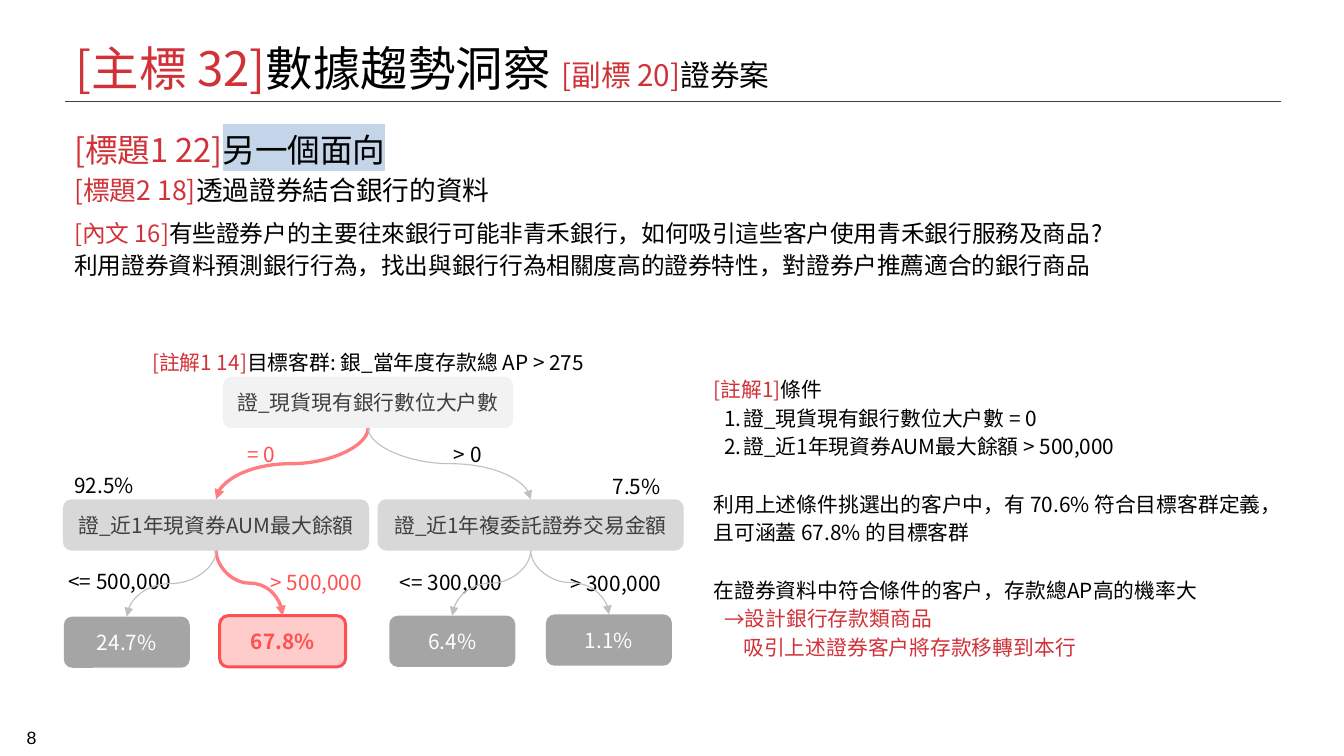
from dataclasses import dataclass

from lxml import etree
from pptx import Presentation
from pptx.dml.color import RGBColor
from pptx.enum.shapes import MSO_CONNECTOR, MSO_SHAPE
from pptx.enum.text import MSO_ANCHOR, MSO_AUTO_SIZE, PP_ALIGN
from pptx.oxml.ns import qn
from pptx.util import Cm, Pt

STRAIGHT, CURVE = MSO_CONNECTOR.STRAIGHT, MSO_CONNECTOR.CURVE
ROUNDED = MSO_SHAPE.ROUNDED_RECTANGLE
TOP, MIDDLE, BOTTOM = MSO_ANCHOR.TOP, MSO_ANCHOR.MIDDLE, MSO_ANCHOR.BOTTOM
LEFT, CENTER, RIGHT = PP_ALIGN.LEFT, PP_ALIGN.CENTER, PP_ALIGN.RIGHT
FIT_SHAPE = MSO_AUTO_SIZE.SHAPE_TO_FIT_TEXT


@dataclass(frozen=True)
class Theme:
    font: str = "Noto Sans CJK TC"
    number_font: str = "Arial"
    ink: str = "000000"
    accent: str = "D03238"
    rule: str = "404040"
    marker: str = "C4D5E9"
    root_fill: str = "F2F2F2"
    branch_fill: str = "D8D8D8"
    leaf_fill: str = "A5A5A5"
    target_fill: str = "FFCCCC"
    target: str = "FF5050"
    node_ink: str = "3F3F3F"
    white: str = "FFFFFF"
    path_line: str = "FF7C80"
    plain_line: str = "BFBFBF"
    title: int = 32
    subtitle: int = 20
    heading: int = 22
    subheading: int = 18
    body: int = 16
    note: int = 14
    number: int = 12


class SlideBuilder:
    """Draws themed elements on the current slide."""

    def __init__(self, slide, theme):
        self.slide = slide
        self.theme = theme

    def run(self, paragraph, text, color=None, size=None, bold=None, font=None, highlight=None):
        run = paragraph.add_run()
        run.text = text
        run.font.size = Pt(size or self.theme.note)
        run.font.bold = bold
        run.font.color.rgb = RGBColor.from_string(color or self.theme.ink)
        properties = run.font._element
        if highlight:
            marker = etree.SubElement(properties, qn("a:highlight"))
            etree.SubElement(marker, qn("a:srgbClr"), val=highlight)
        run.font.name = font or self.theme.font
        etree.SubElement(properties, qn("a:ea"), typeface=font or self.theme.font)

    def bullet(self, paragraph, tag, color, **attributes):
        properties = paragraph._p.get_or_add_pPr()
        properties.set("marL", str(Cm(0.71)))
        properties.set("indent", str(Cm(-0.46)))
        bullet_color = etree.SubElement(properties, qn("a:buClr"))
        etree.SubElement(bullet_color, qn("a:srgbClr"), val=color)
        etree.SubElement(properties, qn("a:buFont"), typeface=self.theme.font)
        etree.SubElement(properties, qn(tag), **attributes)

    def text(self, left, top, width, height, align=LEFT, anchor=TOP, grow=True):
        box = self.slide.shapes.add_textbox(Cm(left), Cm(top), Cm(width), Cm(height))
        frame = box.text_frame
        frame.word_wrap = True
        frame.vertical_anchor = anchor
        if grow:
            frame.auto_size = FIT_SHAPE
        frame.paragraphs[0].alignment = align
        return frame

    def paragraph(self, frame, runs, spacing=None, before=None):
        first = frame.paragraphs[0]
        paragraph = frame.add_paragraph() if first.runs else first
        paragraph.line_spacing = spacing
        if before:
            paragraph.space_before = Pt(before)
        for text, options in runs:
            self.run(paragraph, text, **options)
        return paragraph

    def node(self, text, left, top, width, fill, color, outline=None):
        shape = self.slide.shapes.add_shape(ROUNDED, Cm(left), Cm(top), Cm(width), Cm(1.22))
        shape.shadow.inherit = False
        shape.fill.solid()
        shape.fill.fore_color.rgb = RGBColor.from_string(fill)
        if outline:
            shape.line.color.rgb = RGBColor.from_string(outline)
            shape.line.width = Pt(2)
        else:
            shape.line.fill.background()
        frame = shape.text_frame
        frame.word_wrap = True
        frame.vertical_anchor = MIDDLE
        frame.paragraphs[0].alignment = CENTER
        self.run(frame.paragraphs[0], text, color, bold=bool(outline))
        return shape

    def line(self, kind, start, end, color, weight):
        connector = self.slide.shapes.add_connector(kind, *start, *end)
        connector.line.color.rgb = RGBColor.from_string(color)
        connector.line.width = Pt(weight)
        etree.SubElement(connector._element.spPr, qn("a:effectLst"))
        return connector

    def branch(self, parent, child, color, weight):
        start_x, start_y = parent.left + parent.width // 2, parent.top + parent.height
        end_x, end_y = child.left + child.width // 2, child.top
        middle_x, middle_y = (start_x + end_x) // 2, (start_y + end_y) // 2
        half_width, half_height = (end_y - start_y) // 2, abs(end_x - start_x) // 2
        to_right = end_x > start_x
        side = half_width if to_right else -half_width
        connector = self.line(CURVE, (middle_x + side, middle_y - half_height),
                              (middle_x - side, middle_y + half_height), color, weight)
        connector._element.spPr.find(qn("a:xfrm")).set("rot", str((270 if to_right else 90) * 60000))
        outline = connector.line._get_or_add_ln()
        etree.SubElement(outline, qn("a:tailEnd"), type="triangle")


def add_header(builder):
    theme = builder.theme
    frame = builder.text(0.05, 17.32, 1.4, 0.61, CENTER, BOTTOM, False)
    builder.paragraph(frame, [("8", dict(size=theme.number, font=theme.number_font))], 0.83)
    builder.line(STRAIGHT, (Cm(1.55), Cm(2.41)), (Cm(30.51), Cm(2.41)), theme.rule, 0.75)
    frame = builder.text(1.55, 0.79, 28.96, 1.63, anchor=MIDDLE, grow=False)
    builder.paragraph(frame, [
        ("[主標 32]", dict(size=theme.title, color=theme.accent)),
        ("數據趨勢洞察 ", dict(size=theme.title)),
        ("[副標 20]", dict(size=theme.subtitle, color=theme.accent)),
        ("證券案", dict(size=theme.subtitle))])


def add_body(builder):
    theme = builder.theme
    frame = builder.text(1.52, 2.82, 28.58, 3.91)
    for tag, text, size, before, highlight in (
            ("[標題1 22]", "另一個面向", theme.heading, None, theme.marker),
            ("[標題2 18]", "透過證券結合銀行的資料", theme.subheading, None, None),
            ("[內文 16]", "有些證券戶的主要往來銀行可能非青禾銀行，如何吸引這些客戶使用青禾銀行服務及商品?",
             theme.body, 6, None)):
        builder.paragraph(frame, [(tag, dict(size=size, color=theme.accent)),
                                  (text, dict(size=size, highlight=highlight))], 1.15, before)
    builder.paragraph(frame, [("利用證券資料預測銀行行為，找出與銀行行為相關度高的證券特性，對證券戶推薦適合的銀行商品",
                               dict(size=theme.body))], 1.15)


def add_notes(builder):
    accent = dict(color=builder.theme.accent)
    frame = builder.text(16.74, 8.76, 14.15, 7.06)
    builder.paragraph(frame, [("[註解1]", accent), ("條件", {})], 1.15)
    for condition in ("證_現貨現有銀行數位大戶數 = 0", "證_近1年現資券AUM最大餘額 > 500,000"):
        paragraph = builder.paragraph(frame, [(condition, {})], 1.15)
        builder.bullet(paragraph, "a:buAutoNum", builder.theme.ink, type="arabicPeriod")
    for finding in ("利用上述條件挑選出的客戶中，有 70.6% 符合目標客群定義，且可涵蓋 67.8% 的目標客群",
                    "在證券資料中符合條件的客戶，存款總AP高的機率大"):
        builder.paragraph(frame, [(finding, {})], 1.15, 19.5)
    paragraph = builder.paragraph(frame, [("設計銀行存款類商品", accent)], 1.15)
    paragraph.add_line_break()
    builder.run(paragraph, "吸引上述證券客戶將存款移轉到本行", **accent)
    builder.bullet(paragraph, "a:buChar", builder.theme.accent, char="→")


def add_tree(builder):
    theme = builder.theme
    root = builder.node("證_現貨現有銀行數位大戶數", 5.31, 8.97, 6.91, theme.root_fill, theme.node_ink)
    balance, trades = [
        builder.node(text, left, 11.89, 7.29, theme.branch_fill, theme.node_ink)
        for text, left in (("證_近1年現資券AUM最大餘額", 1.5), ("證_近1年複委託證券交易金額", 8.99))]
    plain, target = (theme.leaf_fill, theme.white), (theme.target_fill, theme.target, theme.target)
    low_balance, high_balance, low_trades, high_trades = [
        builder.node(text, left, top, 3, *style) for text, left, top, style in (
            ("24.7%", 1.52, 14.68, plain), ("67.8%", 5.23, 14.66, target),
            ("6.4%", 9.27, 14.66, plain), ("1.1%", 13, 14.63, plain))]
    for text, left, top, width, align, color in (
            ("= 0", 5.31, 10.39, 1.83, CENTER, theme.target),
            ("<= 500,000", 1.04, 13.41, 3.63, CENTER, theme.ink),
            ("> 0", 10.39, 10.39, 1.5, CENTER, theme.ink),
            ("> 500,000", 5.72, 13.44, 3.63, CENTER, theme.target),
            ("<= 300,000", 9.27, 13.44, 3.35, LEFT, theme.ink),
            ("> 300,000", 12.37, 13.46, 3.63, RIGHT, theme.ink),
            ("7.5%", 13.67, 11.15, 2.31, RIGHT, theme.ink),
            ("92.5%", 1.52, 11.13, 2.31, LEFT, theme.ink)):
        builder.paragraph(builder.text(left, top, width, 0.86, align), [(text, dict(color=color))])
    caption = builder.text(2.39, 7.9, 12.75, 0.86, CENTER)
    builder.paragraph(caption, [("[註解1 14]", dict(color=theme.accent)),
                                ("目標客群: 銀_當年度存款總 AP > 275", {})], 1.5)
    for parent, child in ((root, balance), (balance, high_balance)):
        builder.branch(parent, child, theme.path_line, 2.25)
    for parent, child in ((root, trades), (trades, high_trades), (trades, low_trades), (balance, low_balance)):
        builder.branch(parent, child, theme.plain_line, 0.75)


def main():
    presentation = Presentation()
    presentation.slide_width, presentation.slide_height = Cm(32), Cm(18)
    slide = presentation.slides.add_slide(presentation.slide_layouts[6])
    builder = SlideBuilder(slide, Theme())
    for add_part in (add_header, add_body, add_notes, add_tree):
        add_part(builder)
    presentation.save("out.pptx")


if __name__ == "__main__":
    main()
